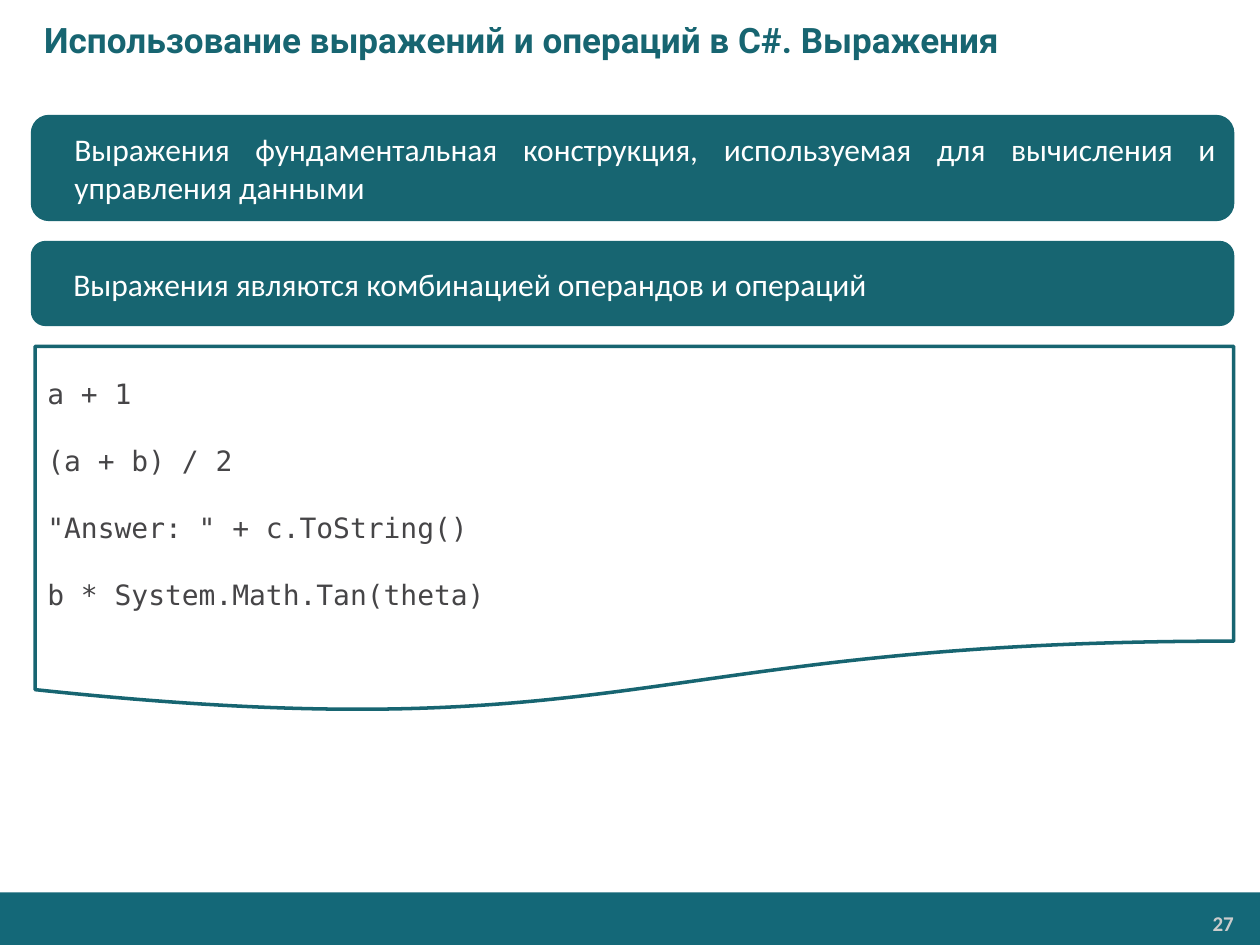
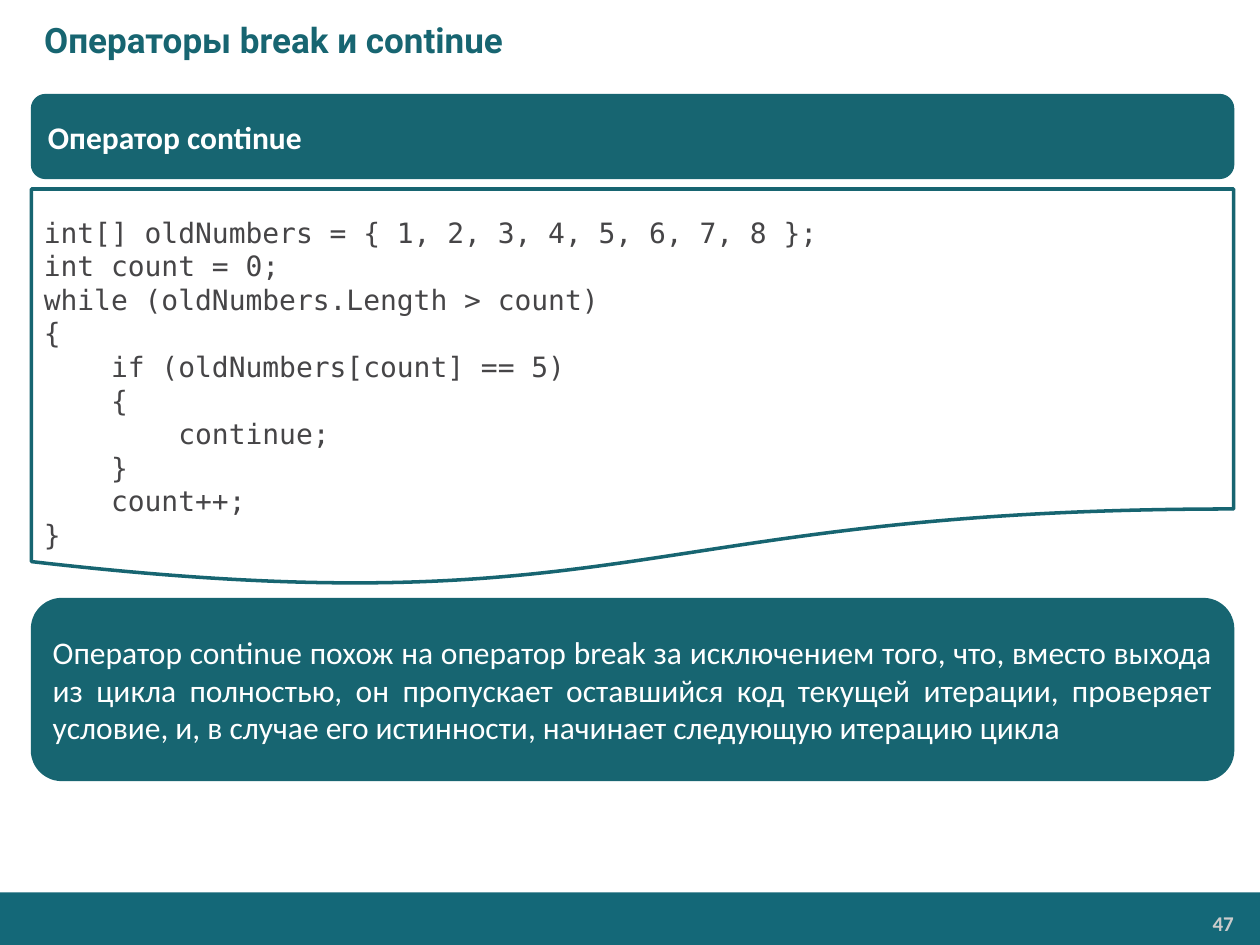
from pptx import Presentation
from pptx.dml.color import RGBColor
from pptx.enum.shapes import MSO_SHAPE
from pptx.enum.text import MSO_ANCHOR, PP_ALIGN
from pptx.util import Pt

LEFT, RIGHT, JUSTIFY = PP_ALIGN.LEFT, PP_ALIGN.RIGHT, PP_ALIGN.JUSTIFY
TOP, MIDDLE = MSO_ANCHOR.TOP, MSO_ANCHOR.MIDDLE
RECT, ROUNDED = MSO_SHAPE.RECTANGLE, MSO_SHAPE.ROUNDED_RECTANGLE
DOCUMENT = MSO_SHAPE.FLOWCHART_DOCUMENT

TEAL, BAND, WHITE, GREY, CODE = "176571", "146878", "FFFFFF", "CCCCCC", "464547"
BOX_LEFT, BOX_WIDTH = 18, 687
CODE_LINE = 19.2

EXPRESSIONS = ["a + 1", "(a + b) / 2", '"Answer: " + c.ToString()',
               "b * System.Math.Tan(theta)"]
CONTINUE_LOOP = """int[] oldNumbers = { 1, 2, 3, 4, 5, 6, 7, 8 };
int count = 0;
while (oldNumbers.Length > count)
{
    if (oldNumbers[count] == 5)
    {
        continue;
    }
    count++;
}""".split("\n")


def rgb(color):
    """Turn a hex string into a colour."""
    return RGBColor.from_string(color)


def write(tf, *lines, font="Calibri", size=18, color=WHITE, bold=False, align=LEFT,
          anchor=MIDDLE, insets=(7.2, 3.6, 7.2, 3.6), gap=0, spacing=None):
    """Fill a text frame with one formatted paragraph per line."""
    tf.word_wrap = True
    tf.vertical_anchor = anchor
    tf.margin_left, tf.margin_top, tf.margin_right, tf.margin_bottom = map(Pt, insets)
    for i, line in enumerate(lines):
        p = tf.paragraphs[0] if i == 0 else tf.add_paragraph()
        p.alignment = align
        p.space_before = Pt(gap if i else 0)
        if spacing:
            p.line_spacing = Pt(spacing)
        r = p.add_run()
        r.text = line
        r.font.name, r.font.size, r.font.bold = font, Pt(size), bold
        r.font.color.rgb = rgb(color)


def add_box(slide, kind, left, top, width, height, fill, line=None, weight=0.75):
    """Add a flat preset shape and return it."""
    sp = slide.shapes.add_shape(kind, Pt(left), Pt(top), Pt(width), Pt(height))
    sp.shadow.inherit = False
    sp.fill.solid()
    sp.fill.fore_color.rgb = rgb(fill)
    if line:
        sp.line.color.rgb = rgb(line)
        sp.line.width = Pt(weight)
    else:
        sp.line.fill.background()
    return sp


def add_statement(slide, text, top, height, indent=0, **fmt):
    """Add a teal rounded panel with a statement."""
    sp = add_box(slide, ROUNDED, BOX_LEFT, top, BOX_WIDTH, height, TEAL, TEAL)
    write(sp.text_frame, text, insets=(7.2 + indent, 3.6, 7.2, 3.6), **fmt)


def add_code(slide, lines, top, height, left=BOX_LEFT, **fmt):
    """Add a document outline that holds lines of code."""
    width = BOX_LEFT + BOX_WIDTH - left
    sp = add_box(slide, DOCUMENT, left, top, width, height, WHITE, TEAL, 2)
    write(sp.text_frame, *lines, font="DejaVu Sans Mono", size=16, color=CODE,
          spacing=CODE_LINE, **fmt)


def add_slide(prs, title, number):
    """Add a slide with its title, bottom band and page number."""
    slide = prs.slides.add_slide(prs.slide_layouts[5])
    sp = slide.shapes.title
    sp.left, sp.top, sp.width, sp.height = Pt(0), Pt(0), Pt(720), Pt(45)
    write(sp.text_frame, title, font="Roboto", size=20, color=TEAL, bold=True,
          insets=(25.2, 3.6, 7.2, 3.6))
    add_box(slide, RECT, 0, 510, 720, 30, BAND)
    sp = slide.shapes.add_textbox(Pt(592.5), Pt(517.5), Pt(117.5), Pt(20))
    write(sp.text_frame, str(number), size=12, color=GREY, bold=True, align=RIGHT,
          anchor=TOP, insets=(5, 3, 5, 3))
    return slide


def main():
    """Build both slides and save the presentation."""
    prs = Presentation()
    prs.slide_width, prs.slide_height = Pt(720), Pt(540)

    slide = add_slide(prs, "Использование выражений и операций в С#. Выражения", 27)
    add_statement(slide, "Выражения фундаментальная конструкция, используемая для "
                  "вычисления и управления данными", 66, 60, indent=14.4, align=JUSTIFY)
    add_statement(slide, "Выражения являются комбинацией операндов и операций",
                  138, 48, indent=14.4, align=JUSTIFY)
    add_code(slide, EXPRESSIONS, 198, 210, left=20, gap=CODE_LINE)

    slide = add_slide(prs, "Операторы break и continue", 47)
    add_code(slide, CONTINUE_LOOP, 108, 228, anchor=TOP, insets=(7.2, 15, 7.2, 0))
    add_statement(slide, "Оператор continue", 54, 48, bold=True)
    add_statement(slide, "Оператор continue похож на оператор break за исключением того, "
                  "что, вместо выхода из цикла полностью, он пропускает оставшийся код "
                  "текущей итерации, проверяет условие, и, в случае его истинности, "
                  "начинает следующую итерацию цикла", 342, 104, align=JUSTIFY)

    prs.save("out.pptx")


if __name__ == "__main__":
    main()
